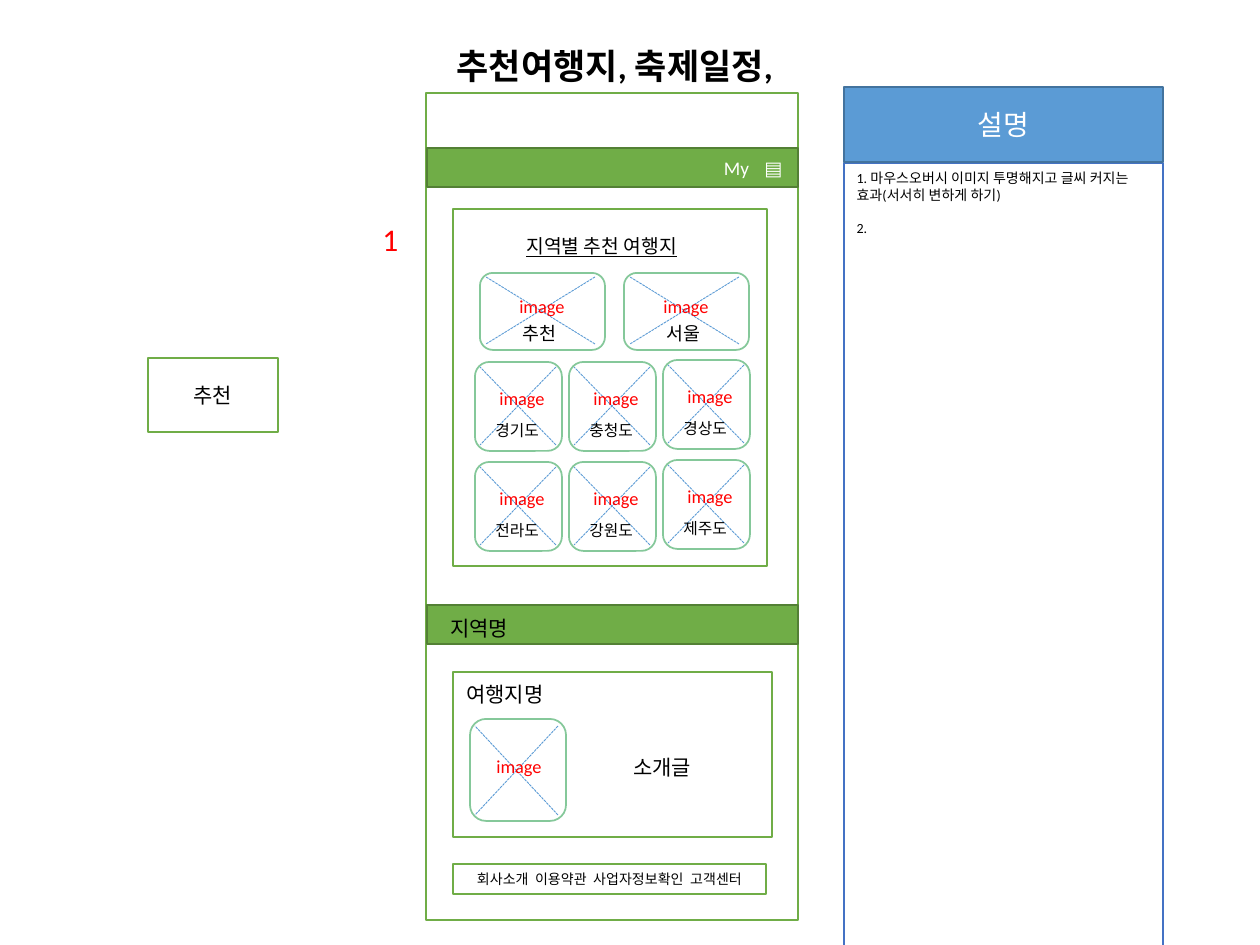
from dataclasses import dataclass

from lxml.etree import SubElement
from pptx import Presentation
from pptx.dml.color import RGBColor
from pptx.enum.dml import MSO_LINE
from pptx.enum.shapes import MSO_CONNECTOR, MSO_SHAPE
from pptx.enum.text import MSO_ANCHOR as Anchor
from pptx.enum.text import MSO_AUTO_SIZE as AutoSize
from pptx.enum.text import PP_ALIGN as Align
from pptx.oxml.ns import qn
from pptx.util import Emu, Inches, Pt

PX = Inches(1) / 126
WHITE = RGBColor(0xFF, 0xFF, 0xFF)
BLACK = RGBColor(0, 0, 0)
RED = RGBColor(0xFF, 0, 0)
GREEN = RGBColor(0x70, 0xAD, 0x47)
DARK_GREEN = RGBColor(0x53, 0x80, 0x35)
MINT = RGBColor(0x85, 0xC8, 0x9A)
BLUE = RGBColor(0x5B, 0x9B, 0xD5)
STEEL = RGBColor(0x43, 0x73, 0x9E)
INDIGO = RGBColor(0x44, 0x72, 0xC4)

CENTRED = {"alignment": Align.CENTER}
MIDDLE = {"vertical_anchor": Anchor.MIDDLE, "word_wrap": True}


@dataclass
class TileStyle:
    size: tuple
    cross: tuple
    image_label: tuple
    caption: tuple = None
    caption_size: float = 0


WIDE = TileStyle((125, 77), (6, 4, 115, 71), (27, 16, 164, 33), (30, 43, 164, 35), 10.5)
SMALL = TileStyle((87, 89), (5, 5, 81, 83), (12, 19, 115, 39), (8, 53, 74, 31), 9)
DETAIL = TileStyle((96, 102), (5, 7, 88, 96), (14, 30, 126, 44))


def px(*lengths):
    return [Emu(round(length * PX)) for length in lengths]


def apply(target, values):
    for name, value in values.items():
        setattr(target, name, value)


def offset(x, y, box):
    return x + box[0], y + box[1], *box[2:]


def format_text(paragraph, size, colour, **font):
    apply(paragraph.font, {"name": "Calibri", "size": Pt(size), **font})
    paragraph.font.color.rgb = colour


def paint(shape, fill, line):
    if fill is None:
        shape.fill.background()
    else:
        shape.fill.solid()
        shape.fill.fore_color.rgb = fill
    shape.line.color.rgb = line
    shape.line.width = Pt(1)


def add_box(shapes, box, fill=WHITE, line=GREEN, kind=MSO_SHAPE.RECTANGLE):
    shape = shapes.add_shape(kind, *px(*box))
    shape.shadow.inherit = False
    paint(shape, fill, line)
    return shape


def add_titled_box(shapes, box, text, size, colour, fill=WHITE, line=GREEN):
    frame = add_box(shapes, box, fill, line).text_frame
    apply(frame, MIDDLE)
    frame.text = text
    apply(frame.paragraphs[0], CENTRED)
    format_text(frame.paragraphs[0], size, colour)


def add_label(shapes, box, text, size, colour=BLACK, wrap=True, **font):
    frame = shapes.add_textbox(*px(*box)).text_frame
    frame.text = text
    apply(frame, {"word_wrap": wrap, "auto_size": AutoSize.SHAPE_TO_FIT_TEXT})
    format_text(frame.paragraphs[0], size, colour, **font)


def add_dashed_line(shapes, *ends):
    dashed = shapes.add_connector(MSO_CONNECTOR.STRAIGHT, *px(*ends))
    dashed.line.color.rgb = BLUE
    apply(dashed.line, {"width": Pt(0.5), "dash_style": MSO_LINE.SQUARE_DOT})
    SubElement(dashed._element.spPr, qn("a:effectLst"))


def add_image_tile(slide, x, y, style, caption=None):
    tile = slide.shapes.add_group_shape().shapes
    add_box(tile, (x, y, *style.size), line=MINT, kind=MSO_SHAPE.ROUNDED_RECTANGLE)
    left, top, right, bottom = style.cross
    add_dashed_line(tile, x + right, y + bottom, x + left, y + top)
    add_dashed_line(tile, x + right, y + top, x + left, y + bottom)
    add_label(tile, offset(x, y, style.image_label), "image", 10.5, RED)
    if caption:
        add_label(tile, offset(x, y, style.caption), caption, style.caption_size)


def fill_title(title, text):
    apply(title, dict(zip(("left", "top", "width", "height"), px(444, 38, 388, 55))))
    frame = title.text_frame
    frame.text = text
    apply(frame, {"vertical_anchor": Anchor.TOP, "word_wrap": True, "auto_size": AutoSize.NONE})
    frame.paragraphs[0].alignment = Align.LEFT
    format_text(frame.paragraphs[0], 20, BLACK, bold=True)


def fill_notes(notes, lines):
    apply(notes, dict(zip(("left", "top", "width", "height"), px(844, 163, 319, 820))))
    paint(notes, WHITE, INDIGO)
    frame = notes.text_frame
    frame.text = "\n".join(lines)
    apply(frame, {"vertical_anchor": Anchor.TOP, "word_wrap": True, "auto_size": AutoSize.NONE})
    for number, paragraph in enumerate(frame.paragraphs):
        gap = Pt(9.6 if number else 0)
        apply(paragraph, {"alignment": Align.LEFT, "line_spacing": 1.0, "space_before": gap})
        format_text(paragraph, 8, BLACK)
        properties = paragraph._p.get_or_add_pPr()
        properties.set("marL", "0")
        properties.set("indent", "0")
        bullet = properties.makeelement(qn("a:buNone"), {})
        properties.find(qn("a:defRPr")).addprevious(bullet)


def add_footer(shapes, entries):
    frame = add_box(shapes, (453, 864, 313, 30)).text_frame
    apply(frame, {"vertical_anchor": Anchor.TOP, "word_wrap": True,
                  "auto_size": AutoSize.SHAPE_TO_FIT_TEXT})
    menu = frame.paragraphs[0]
    apply(menu, CENTRED)
    format_text(menu, 8, BLACK)
    for number, entry in enumerate(entries):
        if number:
            gap = menu.add_run()
            gap.text = " "
            gap._r.get_or_add_rPr().set("spc", "180")
        menu.add_run().text = entry
    for run in menu.runs:
        format_text(run, 8, BLACK)


def add_phone_header(shapes):
    add_box(shapes, (426, 93, 372, 827))
    add_titled_box(shapes, (844, 87, 319, 75), "설명", 16, WHITE, BLUE, STEEL)
    add_box(shapes, (427, 148, 371, 39), GREEN, DARK_GREEN)
    add_titled_box(shapes, (707, 151, 59, 33), "My", 11, WHITE, None)
    add_titled_box(shapes, (752, 151, 40, 33), "▤", 11, WHITE, None)


def add_destination_card(slide):
    shapes = slide.shapes
    band = shapes.add_group_shape().shapes
    add_box(band, (427, 605, 371, 39), GREEN, DARK_GREEN)
    add_label(band, (438, 609, 89, 38), "지역명", 12, wrap=False)
    add_box(shapes, (453, 672, 319, 165))
    add_label(shapes, (454, 675, 111, 38), "여행지명", 12, wrap=False)
    add_label(shapes, (621, 748, 89, 38), "소개글", 12, wrap=False)
    add_image_tile(slide, 470, 719, DETAIL)


def add_region_panel(slide):
    shapes = slide.shapes
    add_box(shapes, (453, 209, 314, 357))
    add_label(shapes, (514, 228, 190, 37), "지역별 추천 여행지", 11, wrap=False, underline=True)
    for column, name in enumerate(("추천", "서울")):
        add_image_tile(slide, 480 + 144 * column, 273, WIDE, name)
    regions = (("경기도", "충청도", "경상도"), ("전라도", "강원도", "제주도"))
    for row, names in enumerate(regions):
        for column, name in enumerate(names):
            lift = 2 if column == 2 else 0
            add_image_tile(slide, 475 + 94 * column, 362 + 100 * row - lift, SMALL, name)


def main():
    deck = Presentation()
    apply(deck, {"slide_width": Inches(10), "slide_height": Inches(7.5)})
    slide = deck.slides.add_slide(deck.slide_layouts[1])
    title, notes = slide.placeholders
    fill_title(title, "추천여행지, 축제일정,")
    fill_notes(notes, ("1. 마우스오버시 이미지 투명해지고 글씨 커지는 효과(서서히 변하게 하기)", "2."))
    add_phone_header(slide.shapes)
    add_destination_card(slide)
    add_footer(slide.shapes, ("회사소개", "이용약관", "사업자정보확인", "고객센터"))
    add_region_panel(slide)
    add_titled_box(slide.shapes, (148, 358, 130, 74), "추천", 12, BLACK)
    add_label(slide.shapes, (370, 214, 42, 50), "1", 18, RED)
    deck.save("out.pptx")


if __name__ == "__main__":
    main()
